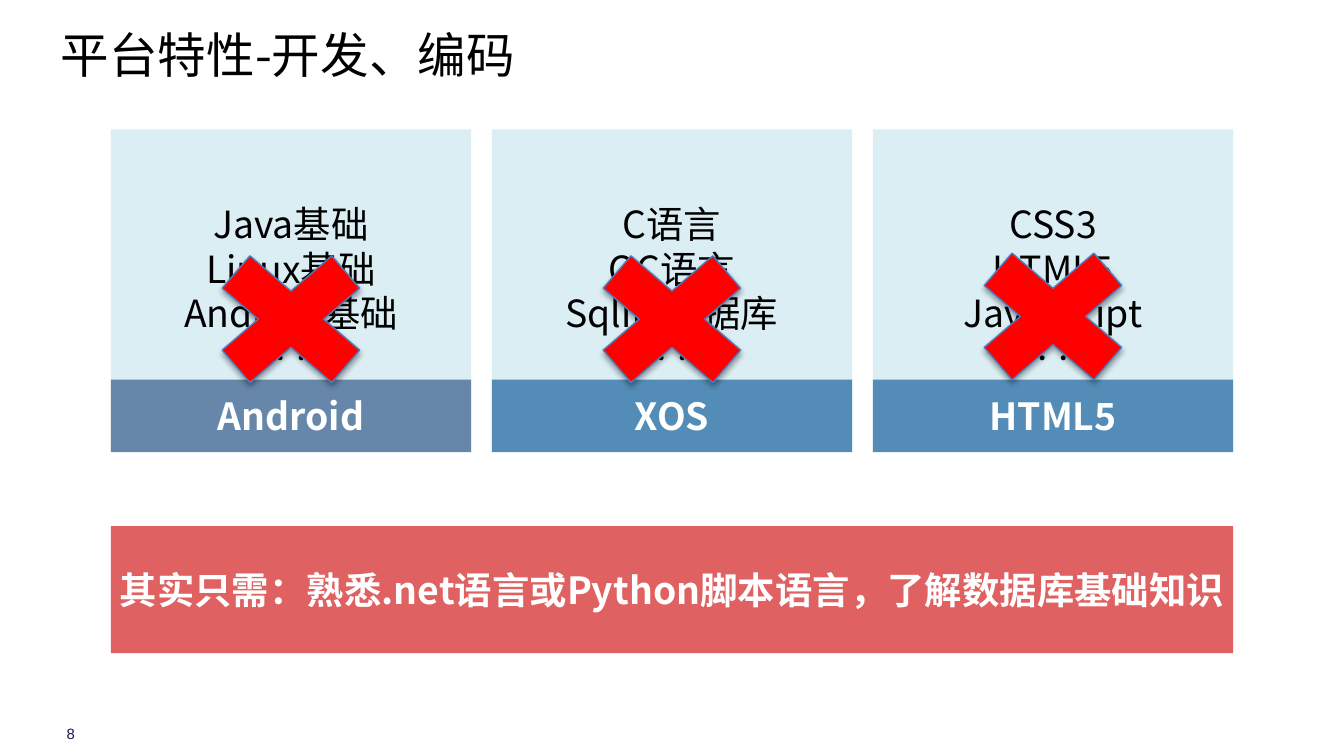
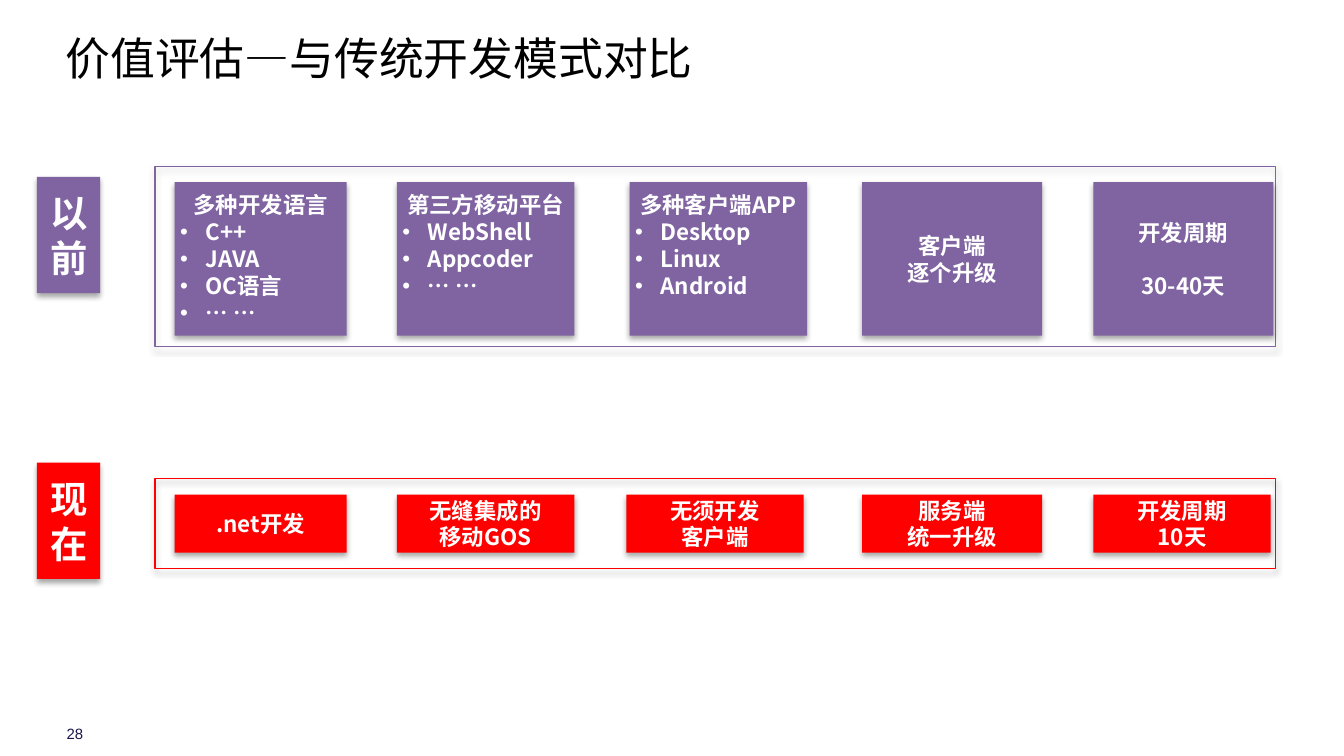
from lxml.etree import SubElement
from pptx import Presentation
from pptx.dml.color import RGBColor
from pptx.enum.shapes import MSO_SHAPE as Preset
from pptx.enum.text import MSO_ANCHOR as Anchor, PP_ALIGN as Align
from pptx.oxml.ns import qn
from pptx.util import Inches, Pt

BLACK = RGBColor(0x00, 0x00, 0x00)
WHITE = RGBColor(0xFF, 0xFF, 0xFF)
NAVY = RGBColor(0x1A, 0x15, 0x4C)
PALE = RGBColor(0xDB, 0xEE, 0xF4)
SLATE = RGBColor(0x1F, 0x49, 0x7D)
BLUE = RGBColor(0x00, 0x50, 0x92)
CRIMSON = RGBColor(0xCC, 0x00, 0x00)
RED = RGBColor(0xFF, 0x00, 0x00)
EDGE = RGBColor(0x4B, 0x7E, 0xBC)
PURPLE = RGBColor(0x80, 0x64, 0xA2)

CJK = "Noto Sans CJK SC"
SLIDE_WIDTH = Inches(10)
SLIDE_HEIGHT = SLIDE_WIDTH * 9 // 16
CELL = SLIDE_WIDTH / 100
NO_INSET, TIGHT, NORMAL = (0, 0, 0, 0), (0.4, 0.4, 0.4, 0.4), (1, 0.5, 1, 0.5)
LIST_INSET = (0.4, 0.7, 0.4, 0.4)

TITLE = {"size": Pt(26), "name": CJK}
TOPIC = {"size": Pt(20), "name": CJK}
LABEL = {"size": Pt(20), "name": CJK, "bold": True}
ERA = {"size": Pt(20), "name": "Calibri", "bold": True}
STEP = {"size": Pt(12), "name": CJK, "bold": True}
NUMBER = {"size": Pt(8), "name": "Arial"}

PLATFORMS = [
    ("Android", SLATE, 17, ["Java基础", "Linux基础", "Android基础", "… …"]),
    ("XOS", BLUE, 17, ["C语言", "OC语言", "Sqlite数据库", "… …"]),
    ("HTML5", BLUE, 16.8, ["CSS3", "HTML5", "Javascript", "… …"]),
]
BEFORE = [
    (13, 12.8, ["多种开发语言"], ["C++", "JAVA", "OC语言", "… …"]),
    (29.53, 13.2, ["第三方移动平台"], ["WebShell", "Appcoder", "… …"]),
    (46.85, 13.2, ["多种客户端APP"], ["Desktop", "Linux", "Android"]),
    (64.15, 13.4, ["客户端", "逐个升级"], []),
    (81.35, 13.4, ["开发周期", "30-40天"], []),
]
NOW = [
    (13, 12.8, [".net开发"], []),
    (29.53, 13.2, ["无缝集成的", "移动GOS"], []),
    (46.6, 13.2, ["无须开发", "客户端"], []),
    (64.15, 13.4, ["服务端", "统一升级"], []),
    (81.35, 13.2, ["开发周期", "10天"], []),
]


def cells(*counts):
    """Turn counts of grid cells into slide lengths."""
    return [round(count * CELL) for count in counts]


def add_bullet(paragraph):
    """Give a paragraph a hanging round bullet."""
    properties = paragraph._p.get_or_add_pPr()
    indent = round(1.9 * CELL)
    properties.set("marL", str(indent))
    properties.set("indent", str(-indent))
    SubElement(properties, qn("a:buFont"), typeface="Arial")
    SubElement(properties, qn("a:buChar"), char="•")


def write(holder, lines, style, color, align=Align.CENTER, inset=NO_INSET,
          anchor=Anchor.MIDDLE, bullets=(), gap=0):
    """Write headline lines, then bullets, into a shape."""
    frame = holder.text_frame
    margins = dict(zip(("margin_left", "margin_top", "margin_right", "margin_bottom"),
                       cells(*inset)))
    for key, value in {"word_wrap": True, "vertical_anchor": anchor, **margins}.items():
        setattr(frame, key, value)
    for index, line in enumerate([*lines, *bullets]):
        paragraph = frame.add_paragraph() if index else frame.paragraphs[0]
        is_bullet = index >= len(lines)
        paragraph.alignment = Align.LEFT if is_bullet else align
        if index and gap:
            paragraph.space_before = Pt(gap)
        if is_bullet:
            add_bullet(paragraph)
        run = paragraph.add_run()
        run.text = line
        for key, value in style.items():
            setattr(run.font, key, value)
        run.font.color.rgb = color
        SubElement(run._r.get_or_add_rPr(), qn("a:ea"), typeface=CJK)


def add_block(shapes, area, fill=None, line=None, opacity=None, shadow=False,
              preset=Preset.RECTANGLE):
    """Draw a preset block with optional fill, outline, opacity and shadow."""
    block = shapes.add_shape(preset, *cells(*area))
    block.shadow.inherit = False
    if fill is None:
        block.fill.background()
    else:
        block.fill.solid()
        block.fill.fore_color.rgb = fill
    if line is None:
        block.line.fill.background()
    else:
        block.line.color.rgb = line
        block.line.width = Pt(0.75)
    properties = block._element.spPr
    if opacity:
        tint = properties.find(qn("a:solidFill")).find(qn("a:srgbClr"))
        SubElement(tint, qn("a:alpha"), val=str(opacity * 1000))
    if shadow:
        cast = SubElement(properties.find(qn("a:effectLst")), qn("a:outerShdw"),
                          blurRad=str(Pt(3.1)), dist=str(Pt(1.8)),
                          dir="5400000", rotWithShape="0")
        tint = SubElement(cast, qn("a:srgbClr"), val="000000")
        SubElement(tint, qn("a:alpha"), val="35000")
    return block


def add_text(slide, area, line, style, color, **layout):
    """Place one left-aligned line of free text."""
    write(slide.shapes.add_textbox(*cells(*area)), [line], style, color,
          align=Align.LEFT, **layout)


def start_slide(deck, number):
    """Add a blank slide with its page number."""
    slide = deck.slides.add_slide(deck.slide_layouts[6])
    add_text(slide, (4.95, 53.9, 2.5, 1.4), number, NUMBER, NAVY)
    return slide


def add_platform(slide, column, name, color, topics):
    """Draw a platform card: topics above a name strip."""
    card = slide.shapes.add_group_shape().shapes
    write(add_block(card, (column, 9.63, 26.8, 24), PALE), topics, TOPIC, BLACK,
          inset=NORMAL)
    strip = add_block(card, (column, 28.25, 26.8, 5.4), color, opacity=62)
    write(strip, [name], LABEL, WHITE)


def add_era(slide, name, color, tag_row, frame_rows, step_rows, steps, inset, gap=0):
    """Draw one era: name tag, outlined frame and its steps."""
    tag = add_block(slide.shapes, (2.75, tag_row, 4.7, 8.65), color, shadow=True)
    write(tag, [name], ERA, WHITE, inset=NORMAL)
    top, height = frame_rows
    add_block(slide.shapes, (11.53, top, 83.4, height), line=color, shadow=True)
    top, height = step_rows
    for column, width, lines, bullets in steps:
        step = add_block(slide.shapes, (column, top, width, height), color, shadow=True)
        write(step, lines, STEP, WHITE, bullets=bullets,
              inset=LIST_INSET if bullets else inset,
              anchor=Anchor.TOP if bullets else Anchor.MIDDLE,
              gap=gap if lines[0] == "开发周期" else 0)


def build_platforms(deck):
    """Build the slide on skills each platform used to need."""
    slide = start_slide(deck, "8")
    columns = [8.25 + 28.35 * index for index in range(len(PLATFORMS))]
    for column, (name, color, _, topics) in zip(columns, PLATFORMS):
        add_platform(slide, column, name, color, topics)
    add_text(slide, (3.53, 1.2, 78, 5.7), "平台特性-开发、编码", TITLE, BLACK, inset=NORMAL)
    summary = add_block(slide.shapes, (8.25, 39.15, 83.5, 9.45), CRIMSON, opacity=62)
    write(summary, ["其实只需：熟悉.net语言或Python脚本语言，了解数据库基础知识"], LABEL, WHITE)
    for column, (_, _, cross_row, _) in zip(columns, PLATFORMS):
        add_block(slide.shapes, (column + 5.55, cross_row, 15.7, 13.5), RED, EDGE,
                  shadow=True, preset=Preset.MATH_MULTIPLY)


def build_comparison(deck):
    """Build the slide comparing the old and new ways of development."""
    slide = start_slide(deck, "28")
    add_text(slide, (4.87, 2.3, 91.9, 5.7), "价值评估—与传统开发模式对比",
             {**TITLE, "size": Pt(24)}, BLACK, anchor=Anchor.TOP)
    add_era(slide, "以前", PURPLE, 13.17, (12.38, 13.4), (13.55, 11.43), BEFORE, TIGHT, 14.4)
    add_era(slide, "现在", RED, 34.43, (35.62, 6.7), (36.8, 4.33), NOW, NORMAL)


def main():
    """Build and save the deck."""
    deck = Presentation()
    deck.slide_width, deck.slide_height = SLIDE_WIDTH, SLIDE_HEIGHT
    deck.element.find(qn("p:sldSz")).attrib.pop("type", None)
    build_platforms(deck)
    build_comparison(deck)
    deck.save("out.pptx")


if __name__ == "__main__":
    main()
